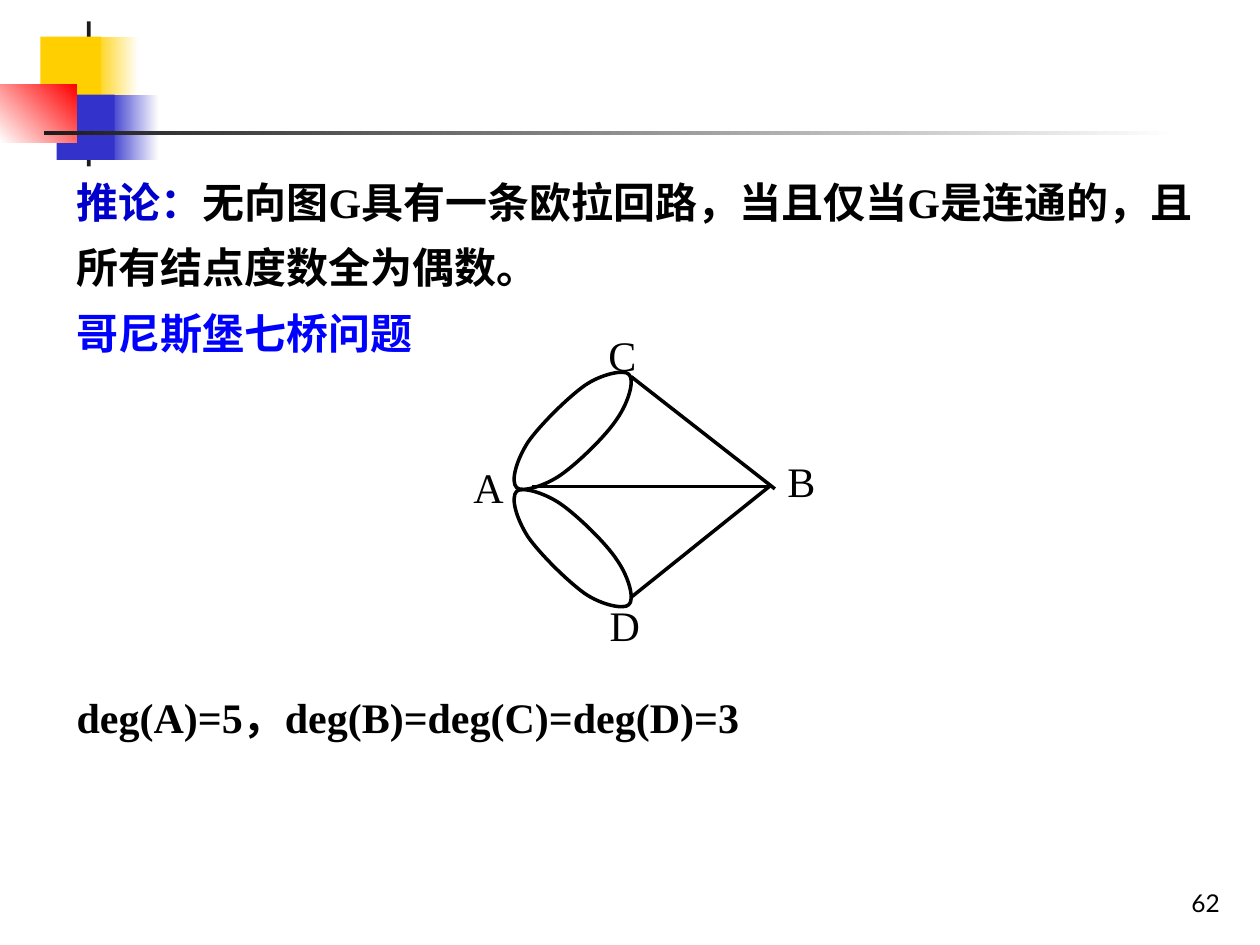
"""Builds a slide on Euler circuits with the seven bridges graph."""
from lxml import etree
from pptx import Presentation
from pptx import util as u
from pptx.dml.color import RGBColor
from pptx.enum import shapes, text
from pptx.oxml import ns

BLACK, WHITE, GOLD, INDIGO = "000000", "FFFFFF", "FFCF01", "3333CC"
CHARCOAL, RED, NAVY, BLUE = "1C1C1C", "FF0000", "0000CC", "0000FF"
MIRROR_SUM = 7.77


def colour(value):
    return RGBColor.from_string(value)


def points(pairs):
    return [(u.Inches(x), u.Inches(y)) for x, y in pairs]


class Painter:
    def __init__(self, page, font="Times New Roman", size=24, weight=2):
        self.page, self.font, self.size, self.weight = page, font, size, weight

    def block(self, left, top, width, height, fill, fade=None, angle=0):
        box = self.page.shapes.add_shape(
            shapes.MSO_SHAPE.RECTANGLE, *map(u.Inches, (left, top, width, height)))
        box.shadow.inherit = False
        box.line.fill.background()
        if fade:
            box.fill.gradient()
            box.fill.gradient_angle = angle
            for stop, tint in zip(box.fill.gradient_stops, (fill, fade)):
                stop.color.rgb = colour(tint)
        else:
            box.fill.solid()
            box.fill.fore_color.rgb = colour(fill)

    def words(self, left, top, width, height, paragraphs, bold=False, spacing=None,
              font=None, size=None, align=None, anchor=text.MSO_ANCHOR.TOP):
        box = self.page.shapes.add_textbox(*map(u.Inches, (left, top, width, height)))
        frame = box.text_frame
        frame.word_wrap = True
        frame.vertical_anchor = anchor
        for index, spans in enumerate(paragraphs):
            para = frame.add_paragraph() if index else frame.paragraphs[0]
            para.alignment = align
            para.line_spacing = spacing
            para.font.name = font or self.font
            para.font.size = u.Pt(size or self.size)
            para.font.bold = bold
            for content, tint in spans:
                span = para.add_run()
                span.text = content
                span.font.color.rgb = colour(tint)

    def edge(self, start, end):
        (x1, y1), (x2, y2) = points((start, end))
        line = self.page.shapes.add_connector(
            shapes.MSO_CONNECTOR.STRAIGHT, x1, y1, x2, y2)
        line.line.color.rgb = colour(BLACK)
        line.line.width = u.Pt(self.weight)
        etree.SubElement(line._element.spPr, ns.qn("a:effectLst"))

    def loop(self, outline):
        """Draws a closed curve from a start point and cubic triples."""
        start, *rest = points(outline)
        builder = self.page.shapes.build_freeform(*start)
        builder.add_line_segments(rest, close=True)
        shape = builder.convert_to_shape()
        segments = list(shape._element.iter(ns.qn("a:lnTo")))
        for first in range(0, len(segments), 3):
            curve = etree.Element(ns.qn("a:cubicBezTo"))
            segments[first].addprevious(curve)
            for segment in segments[first:first + 3]:
                curve.append(segment[0])
                segment.getparent().remove(segment)
        shape.shadow.inherit = False
        shape.fill.solid()
        shape.fill.fore_color.rgb = colour(WHITE)
        shape.line.color.rgb = colour(BLACK)
        shape.line.width = u.Pt(self.weight)


def main():
    deck = Presentation()
    deck.slide_width, deck.slide_height = u.Inches(10), u.Inches(7.5)
    painter = Painter(deck.slides.add_slide(deck.slide_layouts[6]))

    painter.block(0.74, 0.29, 0.36, 0.52, GOLD, WHITE)
    painter.block(0.86, 0.75, 0.4, 0.52, INDIGO, WHITE)
    painter.block(0.69, 0.17, 0.03, 1.15, CHARCOAL)
    painter.block(0.32, 0.29, 0.48, 0.52, GOLD)
    painter.block(0.45, 0.75, 0.46, 0.52, INDIGO)
    painter.block(0, 0.67, 0.61, 0.46, WHITE, RED, angle=45)
    painter.block(0.35, 1.04, 9, 0.03, CHARCOAL, WHITE)

    painter.words(7.7, 6.83, 2.08, 0.5, [[("62", BLACK)]], font="Lato", size=14,
                  align=text.PP_ALIGN.RIGHT, anchor=text.MSO_ANCHOR.BOTTOM)
    painter.words(0.51, 5.32, 9.05, 0.62,
                  [[("deg(A)=5，deg(B)=deg(C)=deg(D)=3", BLACK)]],
                  bold=True, spacing=1.3)

    upper = [(4.99, 2.97),
             (4.95, 2.93), (4.77, 2.97), (4.64, 3.06),
             (4.5, 3.16), (4.28, 3.38), (4.19, 3.51),
             (4.1, 3.65), (4.05, 3.82), (4.1, 3.87),
             (4.14, 3.91), (4.32, 3.86), (4.45, 3.77),
             (4.58, 3.68), (4.81, 3.46), (4.9, 3.32),
             (4.99, 3.19), (5.04, 3.01), (4.99, 2.97)]
    painter.loop([(x, MIRROR_SUM - y) for x, y in upper])
    painter.loop(upper)
    painter.edge((4.22, 3.86), (6.1, 3.86))
    painter.edge((5.01, 2.99), (6.15, 3.88))
    painter.edge((5.01, 4.74), (6.12, 3.85))

    for name, left, top in (("A", 3.66, 3.61), ("D", 4.74, 4.71),
                            ("C", 4.73, 2.57), ("B", 6.15, 3.57)):
        painter.words(left, top, 0.33, 0.5, [[(name, BLACK)]])

    painter.words(0.51, 1.23, 9.05, 1.66, [
        [("推论：", NAVY),
         ("无向图G具有一条欧拉回路，当且仅当G是连通的，且所有结点度数全为偶数。", BLACK)],
        [("哥尼斯堡七桥问题", BLUE)],
    ], bold=True, spacing=1.3)

    deck.save("out.pptx")


if __name__ == "__main__":
    main()
